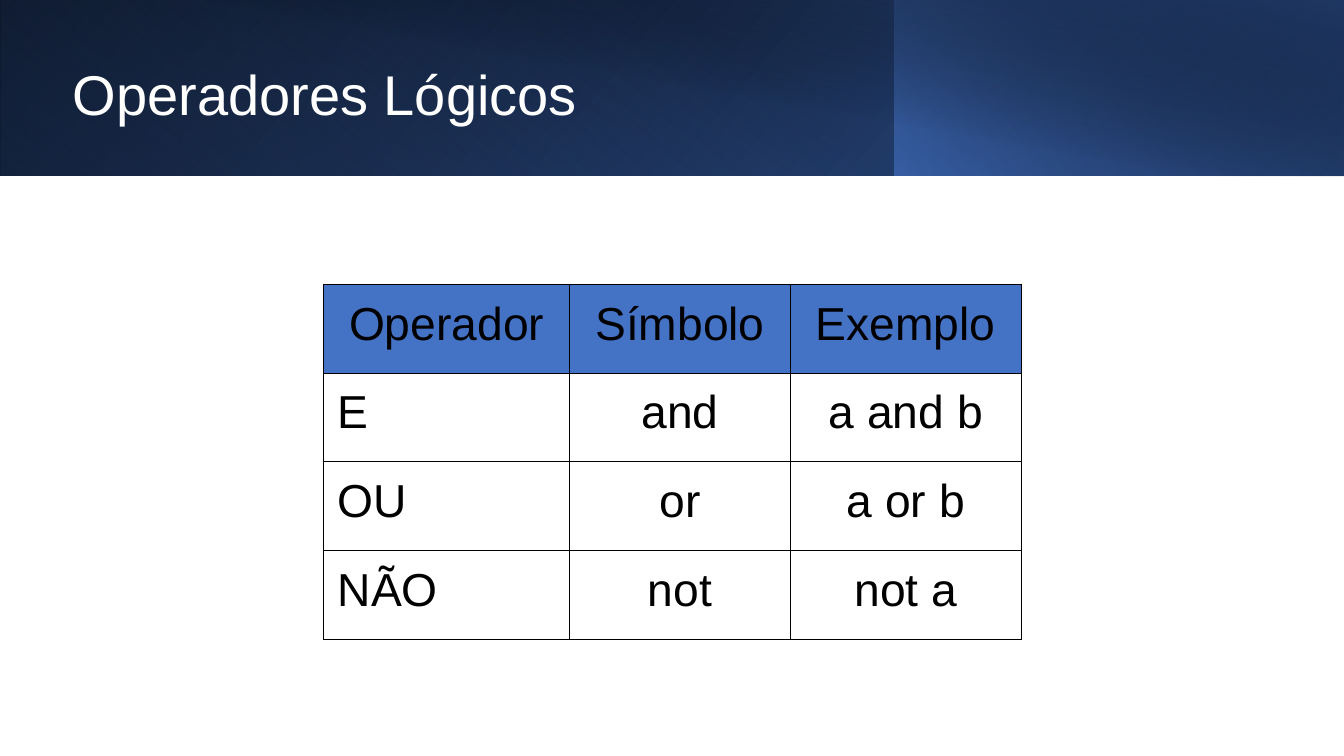
import pptx
import pptx.util
import pptx.dml.color
import pptx.enum.shapes
import pptx.enum.text
import pptx.oxml
import pptx.oxml.ns

Inches, Pt = pptx.util.Inches, pptx.util.Pt
Align = pptx.enum.text.PP_ALIGN
NS = pptx.oxml.ns.nsdecls("a")


def color(text):
    return pptx.dml.color.RGBColor.from_string(text)


def write(par, text, size, tint):
    run = par.add_run()
    run.text = text
    run.font.name = "Arial"
    run.font.size = Pt(size)
    run.font.color.rgb = color(tint)


deck = pptx.Presentation()
deck.slide_width, deck.slide_height = Inches(13.33), Inches(7.5)
slide = deck.slides.add_slide(deck.slide_layouts[5])

# Header band: layered gradients as (left, width, height, turn, flip, angle, stops),
# each stop being (place, colour, opacity), all in percent
bands = [
    (0, 13.33, 1.74, 0, True, 140, [(0, "000000", 100), (100, "2F5496", 100)]),
    (0, 8.88, 1.74, 180, True, 230,
     [(0, "4472C4", 0), (20, "4472C4", 0), (100, "1F3864", 54)]),
    (8.87, 4.46, 1.74, 0, True, 220, [(0, "4472C4", 65), (100, "000000", 29)]),
    (0.5, 12.83, 1.75, 0, False, 280,
     [(0, "000000", 0), (50, "000000", 0), (99, "1F3864", 51), (100, "1F3864", 51)]),
]
for left, width, height, turn, flip, angle, stops in bands:
    band = slide.shapes.add_shape(
        pptx.enum.shapes.MSO_SHAPE.RECTANGLE,
        Inches(left), 0, Inches(width), Inches(height))
    band.rotation = turn
    props = band.element.spPr
    if flip:
        props.find(pptx.oxml.ns.qn("a:xfrm")).set("flipH", "1")
    marks = "".join(
        f'<a:gs pos="{place * 1000}"><a:srgbClr val="{tint}">'
        f'<a:alpha val="{alpha * 1000}"/></a:srgbClr></a:gs>'
        for place, tint, alpha in stops)
    props.append(pptx.oxml.parse_xml(
        f'<a:gradFill {NS} rotWithShape="1"><a:gsLst>{marks}</a:gsLst>'
        f'<a:lin ang="{angle * 60000}" scaled="0"/></a:gradFill>'))
    band.line.fill.background()
    band.shadow.inherit = False

# Title, in front of the band
title = slide.shapes.title
band.element.addnext(title.element)
title.left, title.top = Inches(0.62), Inches(0.24)
title.width, title.height = Inches(12.21), Inches(1.45)
frame = title.text_frame
frame.auto_size = pptx.enum.text.MSO_AUTO_SIZE.NONE
frame.vertical_anchor = pptx.enum.text.MSO_ANCHOR.MIDDLE
head = frame.paragraphs[0]
head.alignment = Align.LEFT
head.line_spacing = 0.9
write(head, "Operadores Lógicos", 40, "FFFFFF")

# Table of operators
rows = [
    ("Operador", "Símbolo", "Exemplo"),
    ("E", "and", "a and b"),
    ("OU", "or", "a or b"),
    ("NÃO", "not", "not a"),
]
widths = [2.44, 2.19, 2.29]
tall = 0.88
table = slide.shapes.add_table(
    len(rows), len(widths), Inches(3.21), Inches(2.82),
    Inches(sum(widths)), Inches(tall * len(rows))).table
table.horz_banding = False
for column, width in zip(table.columns, widths):
    column.width = Inches(width)
for r, row in enumerate(rows):
    table.rows[r].height = Inches(tall)
    for c, text in enumerate(row):
        cell = table.cell(r, c)
        cell.margin_left = cell.margin_right = Inches(0.14)
        cell.margin_top = cell.margin_bottom = Inches(0.14)
        for side in ("lnL", "lnR", "lnT", "lnB"):
            cell._tc.get_or_add_tcPr().append(pptx.oxml.parse_xml(
                f'<a:{side} {NS} w="9525"><a:solidFill><a:srgbClr val="000000"/>'
                f'</a:solidFill></a:{side}>'))
        if r == 0:
            cell.fill.solid()
            cell.fill.fore_color.rgb = color("4472C4")
        else:
            cell.fill.background()
        par = cell.text_frame.paragraphs[0]
        par.alignment = Align.LEFT if r and c == 0 else Align.CENTER
        write(par, text, 33, "000000")
        par.runs[0].font.bold = False

deck.save("out.pptx")
